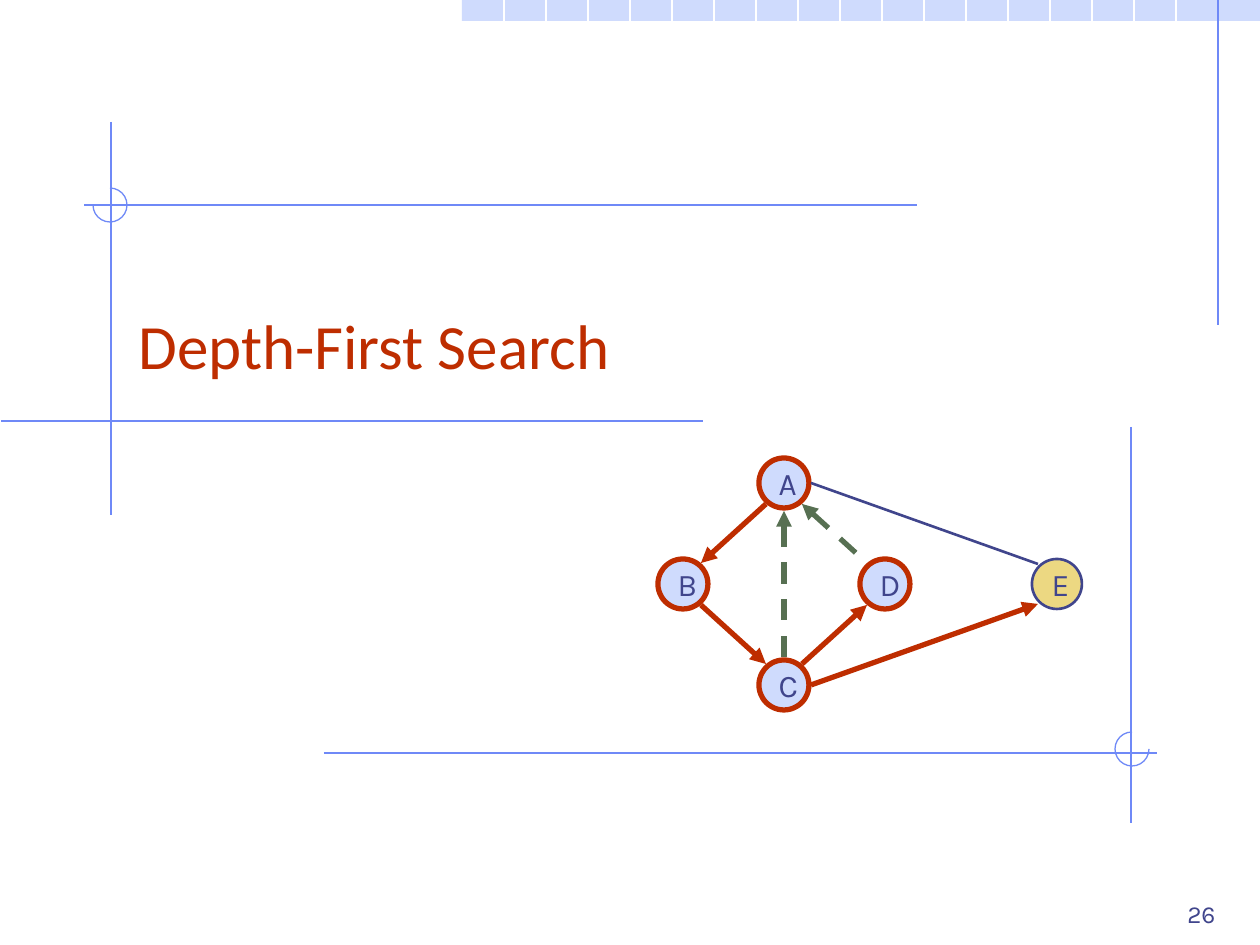
from lxml import etree
from pptx import Presentation
from pptx.dml.color import RGBColor
from pptx.enum.dml import MSO_LINE
from pptx.enum.shapes import MSO_CONNECTOR, MSO_SHAPE
from pptx.enum.text import MSO_ANCHOR, PP_ALIGN
from pptx.oxml.ns import qn
from pptx.util import Pt

STRAIGHT = MSO_CONNECTOR.STRAIGHT
RECTANGLE, OVAL, ARC = MSO_SHAPE.RECTANGLE, MSO_SHAPE.OVAL, MSO_SHAPE.ARC
DASH = MSO_LINE.DASH
BOTTOM, MIDDLE = MSO_ANCHOR.BOTTOM, MSO_ANCHOR.MIDDLE
LEFT, RIGHT = PP_ALIGN.LEFT, PP_ALIGN.RIGHT

EMU_PER_PX = 914400 // 126
SLIDE_WIDTH, SLIDE_HEIGHT = 1260, 945
PALE, BLUE, NAVY = "CFDBFD", "6F89F7", "40458C"
RED, GREEN, GOLD, WHITE = "BE2D00", "577052", "ECD882", "FFFFFF"

BAR = (462, 0, 798, 21)
GRID_STEP = 42
GUIDES = [
    ((1218, 0), (1218, 325)),
    ((111, 122), (111, 515)),
    ((703, 421), (1, 421)),
    ((917, 205), (84, 205)),
    ((324, 753), (1157, 753)),
    ((1131, 427), (1131, 823)),
]
ARCS = [((93, 188, 34, 34), 270, 180), ((1115, 732, 34, 34), 0, 270)]

TEXTS = [
    ("Depth-First Search", (126, 231, 1071, 157), "Calibri", 36, RED, LEFT),
    ("26", (966, 872, 262, 63), "Karla", 14, NAVY, RIGHT),
]

NODE_SIZE = 50
NODES = {
    "D": (885, 584, PALE, RED, 3),
    "B": (683, 584, PALE, RED, 3),
    "A": (784, 483, PALE, RED, 3),
    "C": (784, 685, PALE, RED, 3),
    "E": (1057, 584, GOLD, NAVY, 1.5),
}
EDGES = [
    ("A", (-18, 21), "B", (18, -21), RED, 3, "tailEnd", None),
    ("C", (-18, -21), "B", (18, 21), RED, 3, "headEnd", None),
    ("C", (18, -21), "D", (-18, 21), RED, 3, "tailEnd", None),
    ("A", (18, 21), "D", (-18, -21), GREEN, 3, "headEnd", DASH),
    ("A", (0, 28), "C", (0, -28), GREEN, 3, "headEnd", DASH),
    ("C", (27, 0), "E", (-19, 20), RED, 3, "tailEnd", None),
    ("E", (-19, -20), "A", (27, 0), NAVY, 1.5, None, None),
]


def px(value):
    return int(value * EMU_PER_PX)


def color(value):
    return RGBColor.from_string(value)


def add_line(slide, start, end, line_color, width, arrow=None, dash=None):
    connector = slide.shapes.add_connector(STRAIGHT, *map(px, (*start, *end)))
    connector.line.color.rgb = color(line_color)
    connector.line.width = Pt(width)
    if dash:
        connector.line.dash_style = dash
    properties = connector._element.spPr
    if arrow:
        line = properties.find(qn("a:ln"))
        etree.SubElement(line, qn(f"a:{arrow}"), type="triangle")
    etree.SubElement(properties, qn("a:effectLst"))


def add_shape(slide, kind, box, fill=None, outline=None, width=0.75):
    shape = slide.shapes.add_shape(kind, *map(px, box))
    shape.shadow.inherit = False
    if fill:
        shape.fill.solid()
        shape.fill.fore_color.rgb = color(fill)
    else:
        shape.fill.background()
    if outline:
        shape.line.color.rgb = color(outline)
        shape.line.width = Pt(width)
    else:
        shape.line.fill.background()
    return shape


def write(shape, text, font_name, size, font_color, alignment, anchor, wrap):
    frame = shape.text_frame
    frame.text = text
    frame.word_wrap = wrap
    frame.vertical_anchor = anchor
    paragraph = frame.paragraphs[0]
    paragraph.alignment = alignment
    font = paragraph.runs[0].font
    font.name = font_name
    font.size = Pt(size)
    font.color.rgb = color(font_color)


def add_decoration(slide):
    add_shape(slide, RECTANGLE, BAR, PALE)
    left, top, width, _ = BAR
    for x in range(left + GRID_STEP, left + width - GRID_STEP, GRID_STEP):
        add_line(slide, (x, top), (x, SLIDE_HEIGHT), WHITE, 0.75)
    for start, end in GUIDES:
        add_line(slide, start, end, BLUE, 0.75)
    for box, start_angle, end_angle in ARCS:
        arc = add_shape(slide, ARC, box, outline=BLUE)
        arc.adjustments[0] = start_angle * 0.6
        arc.adjustments[1] = end_angle * 0.6


def add_graph(slide):
    for name, (x, y, fill, outline, width) in NODES.items():
        box = (x - NODE_SIZE / 2, y - NODE_SIZE / 2, NODE_SIZE, NODE_SIZE)
        node = add_shape(slide, OVAL, box, fill, outline, width)
        write(node, name, "Karla", 18, NAVY, LEFT, MIDDLE, False)
    for first, first_offset, second, second_offset, *style in EDGES:
        start, end = (
            (NODES[name][0] + dx, NODES[name][1] + dy)
            for name, (dx, dy) in ((first, first_offset), (second, second_offset))
        )
        add_line(slide, start, end, *style)


def main():
    presentation = Presentation()
    presentation.slide_width = px(SLIDE_WIDTH)
    presentation.slide_height = px(SLIDE_HEIGHT)
    slide = presentation.slides.add_slide(presentation.slide_layouts[6])
    add_decoration(slide)
    for text, box, font_name, size, font_color, alignment in TEXTS:
        text_box = slide.shapes.add_textbox(*map(px, box))
        write(text_box, text, font_name, size, font_color, alignment, BOTTOM, True)
    add_graph(slide)
    presentation.save("out.pptx")


if __name__ == "__main__":
    main()
